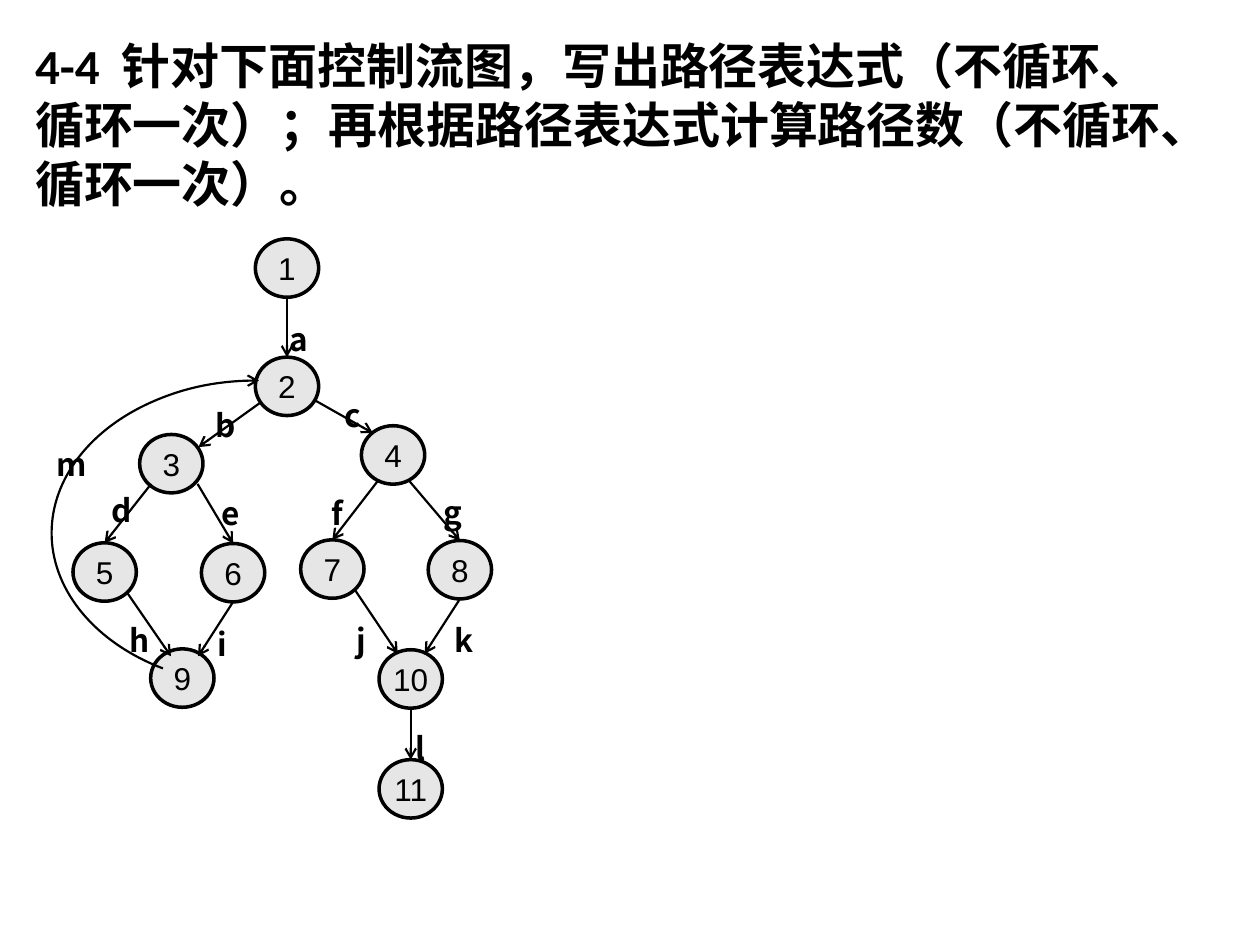
from dataclasses import dataclass

from lxml import etree
from pptx import Presentation
from pptx.dml.color import RGBColor
from pptx.enum.shapes import MSO_CONNECTOR, MSO_SHAPE
from pptx.enum.text import MSO_ANCHOR, PP_ALIGN
from pptx.oxml.ns import qn
from pptx.util import Pt

OVAL, ARC = MSO_SHAPE.OVAL, MSO_SHAPE.ARC
STRAIGHT = MSO_CONNECTOR.STRAIGHT
MIDDLE, CENTER = MSO_ANCHOR.MIDDLE, PP_ALIGN.CENTER


@dataclass(frozen=True)
class Theme:
    ink: RGBColor = RGBColor(0, 0, 0)
    node_fill: RGBColor = RGBColor(0xE6, 0xE6, 0xE6)
    title_font: str = "Calibri"
    node_font: str = "Arial"
    label_font: str = "Noto Sans CJK SC"
    title_size: float = 28
    text_size: float = 18
    node_line: float = 2
    edge_line: float = 1.25


theme = Theme()


def add_span(para, text, font, size, bold=False):
    span = para.add_run()
    span.text = text
    span.font.name = font
    span.font.size = Pt(size)
    span.font.bold = bold
    span.font.color.rgb = theme.ink
    east_asian = etree.SubElement(span.font._element, qn("a:ea"))
    east_asian.set("typeface", font)


def style_arrow(item):
    """Thin dark line with an open arrowhead at its end and no shadow."""
    item.line.color.rgb = theme.ink
    item.line.width = Pt(theme.edge_line)
    line = item.line._get_or_add_ln()
    etree.SubElement(line, qn("a:tailEnd")).set("type", "arrow")
    properties = item._element.spPr
    if properties.find(qn("a:effectLst")) is None:
        etree.SubElement(properties, qn("a:effectLst"))


deck = Presentation()
deck.slide_width, deck.slide_height = Pt(720), Pt(540)
page = deck.slides.add_slide(deck.slide_layouts[6])

# Question
box = page.shapes.add_textbox(Pt(13), Pt(13), Pt(676), Pt(116))
box.text_frame.word_wrap = True
box.text_frame.vertical_anchor = MIDDLE
add_span(box.text_frame.paragraphs[0],
         "4-4  针对下面控制流图，写出路径表达式（不循环、循环一次）；"
         "再根据路径表达式计算路径数（不循环、循环一次）。",
         theme.title_font, theme.title_size, bold=True)

# Nodes: number -> centre
node_width, node_height = 36.2, 33.4
nodes = {
    1: (164, 153.2), 2: (164, 220.8), 3: (97.9, 265), 4: (224.6, 260),
    5: (59.8, 326.9), 6: (133.2, 327.3), 7: (189.9, 325.2), 8: (262.8, 325.6),
    9: (104.2, 387.5), 10: (234.7, 388), 11: (234.7, 450.8),
}
for number, (x, y) in nodes.items():
    node = page.shapes.add_shape(OVAL, Pt(x - node_width / 2), Pt(y - node_height / 2),
                                 Pt(node_width), Pt(node_height))
    node.shadow.inherit = False
    node.fill.solid()
    node.fill.fore_color.rgb = theme.node_fill
    node.line.color.rgb = theme.ink
    node.line.width = Pt(theme.node_line)
    frame = node.text_frame
    frame.margin_left = frame.margin_right = frame.margin_top = frame.margin_bottom = 0
    frame.word_wrap = False
    frame.vertical_anchor = MIDDLE
    frame.paragraphs[0].alignment = CENTER
    add_span(frame.paragraphs[0], str(number), theme.node_font, theme.text_size)

# Edges: start node, offset from its centre, end node, offset from its centre
top, bottom = (0, -node_height / 2), (0, node_height / 2)
edges = [
    (1, bottom, 2, top),
    (2, (-15.5, 9.5), 3, (15.5, -9.5)),
    (2, (16, 8), 4, (-11.5, -12.5)),
    (3, (-11.5, 11.5), 5, top),
    (3, (15, 11.5), 6, top),
    (4, (-8.8, 15), 7, top),
    (4, (9.4, 15), 8, top),
    (5, (13, 12), 9, (-6.5, -12.5)),
    (6, bottom, 9, (9, -12.5)),
    (7, (13, 12), 10, (-7.4, -14.5)),
    (8, bottom, 10, (8, -14.5)),
    (10, bottom, 11, top),
]
for start, (start_dx, start_dy), end, (end_dx, end_dy) in edges:
    (start_x, start_y), (end_x, end_y) = nodes[start], nodes[end]
    style_arrow(page.shapes.add_connector(
        STRAIGHT, Pt(start_x + start_dx), Pt(start_y + start_dy),
        Pt(end_x + end_dx), Pt(end_y + end_dy)))

# Loop back from 9 to 2; an adjustment of 0.6 is one degree
loop = page.shapes.add_shape(ARC, Pt(29.5), Pt(217.4), Pt(234.7), Pt(174.2))
loop.rotation = 180
for index, degrees in enumerate((304.77, 90.75)):
    loop.adjustments[index] = degrees * 0.6
loop.fill.background()
style_arrow(loop)

# Edge labels: letter -> top left corner
labels = {
    "a": (158.4, 168.5), "b": (115.9, 217.4), "c": (190, 211.7), "d": (56.9, 266.4),
    "e": (119.5, 267.8), "f": (182.2, 267.8), "g": (246.2, 267.1), "h": (67, 340.6),
    "i": (117.4, 342.7), "j": (196.6, 340.6), "k": (252.7, 340.6), "l": (230.4, 402.5),
    "m": (25.2, 239.8),
}
for letter, (x, y) in labels.items():
    box = page.shapes.add_textbox(Pt(x), Pt(y), Pt(22.3), Pt(34.6))
    box.text_frame.word_wrap = True
    para = box.text_frame.paragraphs[0]
    para.line_spacing = 1.5
    add_span(para, letter, theme.label_font, theme.text_size, bold=True)

deck.save("out.pptx")
